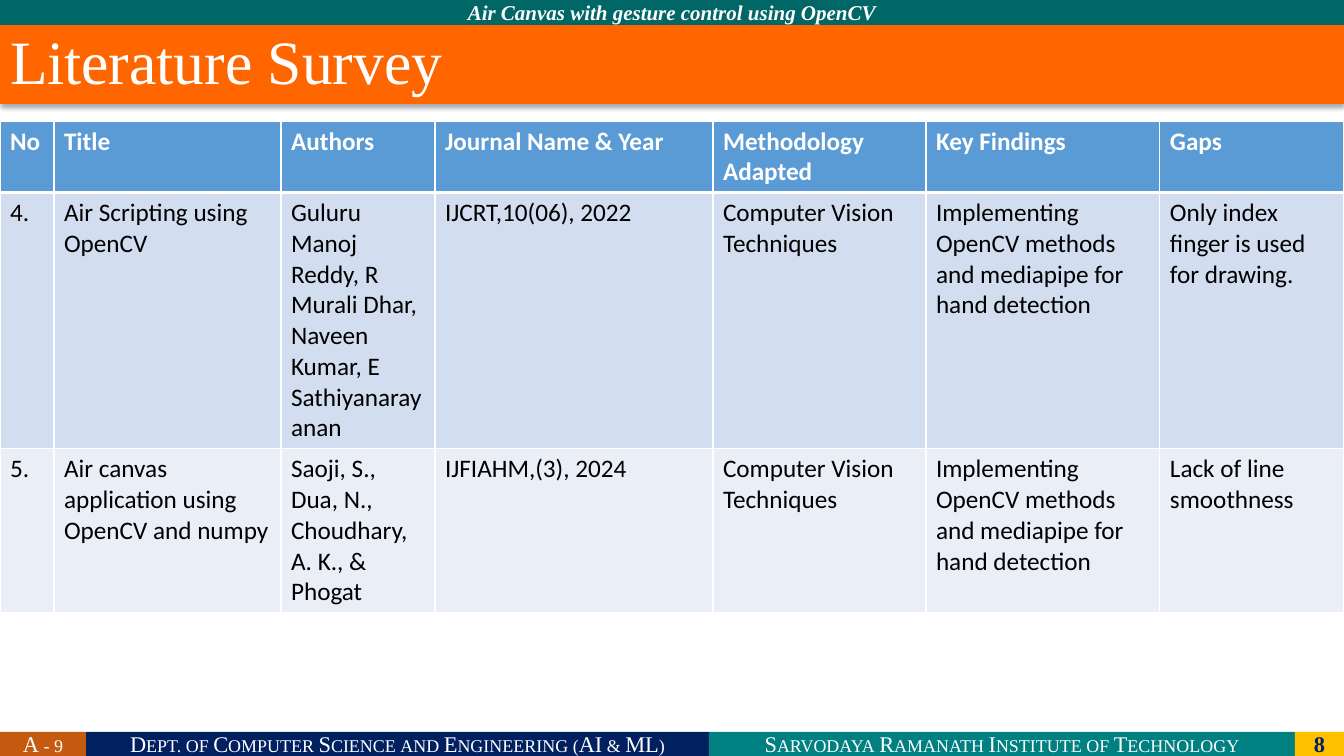
from lxml import etree
from pptx import Presentation
from pptx.dml.color import RGBColor
from pptx.enum.shapes import MSO_SHAPE as SHAPE
from pptx.enum.text import MSO_ANCHOR as ANCHOR, PP_ALIGN as ALIGN
from pptx.oxml import parse_xml
from pptx.oxml.ns import nsdecls, qn
from pptx.util import Emu, Pt

PX = 12192000 / 1344
W, H = 1344, 756
COLORS = {
    "white": "FFFFFF", "black": "000000", "navy": "002060", "teal": "008080",
    "dark_teal": "006666", "gold": "FFC000", "rust": "C55A11", "orange": "FF6600",
    "header": "5B9BD5", "band_dark": "D2DEEF", "band_light": "EAEFF7",
}


def px(n):
    return Emu(round(n * PX))


def write(tf, text, size=16, font="Times New Roman", color="white", bold=False,
          italic=False, small_caps=False, align=ALIGN.CENTER):
    p = tf.paragraphs[0]
    p.alignment = align
    r = p.add_run()
    r.text = text
    r.font.size, r.font.name = Pt(size), font
    r.font.bold, r.font.italic = bold, italic
    r.font.color.rgb = RGBColor.from_string(COLORS[color])
    if small_caps:
        r._r.get_or_add_rPr().set("cap", "small")
    return p


prs = Presentation()
prs.slide_width, prs.slide_height = px(W), px(H)
s = prs.slides.add_slide(prs.slide_layouts[6])

# Bars: left, top, width, height, fill, text, format
FOOT_Y, FOOT_H = 732, 24
caps = {"small_caps": True}
bars = [
    (86, FOOT_Y, 623, FOOT_H, "navy",
     "Dept. of Computer Science and Engineering (AI & ML)", caps),
    (709, FOOT_Y, 586, FOOT_H, "teal",
     "Sarvodaya Ramanath Institute of Technology", caps),
    (1295, FOOT_Y, 49, FOOT_H, "gold", "8", {"color": "navy", "bold": True}),
    (0, 0, W, 25, "dark_teal", "Air Canvas with gesture control using OpenCV",
     {"size": 15, "bold": True, "italic": True}),
    (0, FOOT_Y, 86, FOOT_H, "rust", "A - 9", caps),
    (0, 25, W, 79, "orange", "Literature Survey", {"size": 44, "align": ALIGN.LEFT}),
]
for x, y, w, h, fill, text, style in bars:
    sp = s.shapes.add_shape(SHAPE.RECTANGLE, px(x), px(y), px(w), px(h))
    sp.shadow.inherit = False
    sp.fill.solid()
    sp.fill.fore_color.rgb = RGBColor.from_string(COLORS[fill])
    sp.line.fill.background()
    tf = sp.text_frame
    tf.word_wrap = True
    tf.vertical_anchor = ANCHOR.MIDDLE
    tf.margin_top = tf.margin_bottom = 0
    tf.margin_left = tf.margin_right = px(10 if fill == "orange" else 0)
    p = write(tf, text, **style)

# The title bar comes last and casts a soft shadow
title = sp
p.line_spacing = 0.9
title._element.spPr.find(qn("a:effectLst")).append(parse_xml(
    f'<a:outerShdw {nsdecls("a")} blurRad="{Pt(3.5)}" dist="{Pt(2.2)}" dir="5400000" '
    'algn="t" rotWithShape="0"><a:srgbClr val="000000"><a:alpha val="32000"/>'
    '</a:srgbClr></a:outerShdw>'))

# Survey table
col_widths = [54, 227, 154, 278, 213, 234, 184]
row_heights = [70, 256, 164]
row_fills = ["header", "band_dark", "band_light"]
method = "Computer Vision Techniques"
finding = "Implementing OpenCV methods and mediapipe for hand detection"
rows = [
    ["No", "Title", "Authors", "Journal Name & Year", "Methodology Adapted",
     "Key Findings", "Gaps"],
    ["4.", "Air Scripting using OpenCV",
     "Guluru Manoj Reddy, R Murali Dhar, Naveen Kumar, E Sathiyanarayanan",
     "IJCRT,10(06), 2022", method, finding, "Only index finger is used for drawing."],
    ["5.", "Air canvas application using OpenCV and numpy",
     "Saoji, S., Dua, N., Choudhary, A. K., & Phogat",
     "IJFIAHM,(3), 2024", method, finding, "Lack of line smoothness"],
]
table = s.shapes.add_table(len(rows), len(col_widths), 0, px(121), px(W),
                           px(sum(row_heights))).table
for col, w in zip(table.columns, col_widths):
    col.width = px(w)
for i, (texts, h, fill) in enumerate(zip(rows, row_heights, row_fills)):
    table.rows[i].height = px(h)
    is_header = i == 0
    for j, text in enumerate(texts):
        cell = table.cell(i, j)
        write(cell.text_frame, text, size=18, font="Calibri", bold=is_header,
              color="white" if is_header else "black", align=ALIGN.LEFT)
        tcPr = cell._tc.get_or_add_tcPr()
        for side in ("lnL", "lnR", "lnT", "lnB"):
            thick = (i, side) in ((0, "lnB"), (1, "lnT"))
            ln = etree.SubElement(tcPr, qn(f"a:{side}"), w=str(Pt(3 if thick else 1)))
            paint = etree.SubElement(ln, qn("a:solidFill"))
            etree.SubElement(paint, qn("a:srgbClr"), val=COLORS["white"])
        cell.fill.solid()
        cell.fill.fore_color.rgb = RGBColor.from_string(COLORS[fill])

prs.save("out.pptx")
